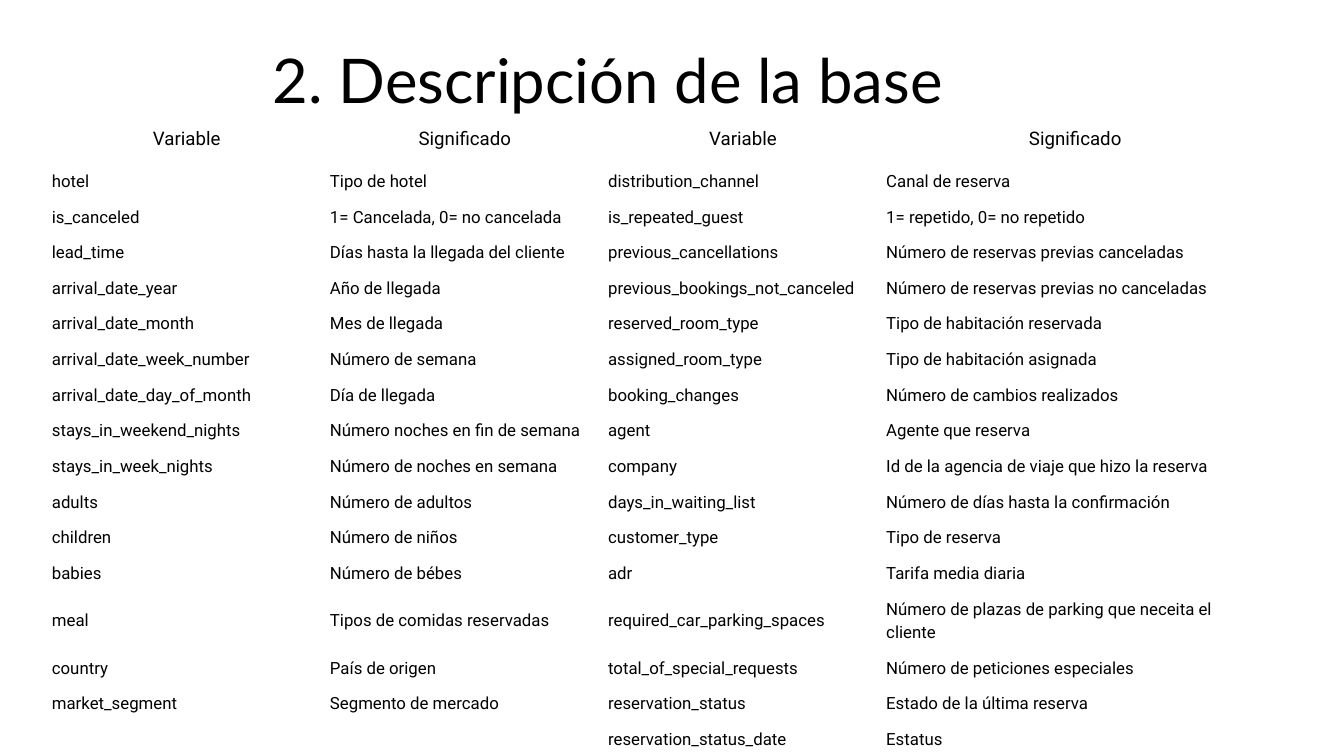
from dataclasses import dataclass

from pptx import Presentation
from pptx.dml.color import RGBColor
from pptx.enum.text import MSO_ANCHOR as Anchor, MSO_AUTO_SIZE as AutoSize, PP_ALIGN as Align
from pptx.util import Pt


@dataclass(frozen=True)
class Theme:
    ink: RGBColor = RGBColor(0, 0, 0)
    title_font: str = "Lato"
    table_font: str = "Roboto"
    title_size: float = 66
    header_size: float = 20
    body_size: float = 18
    table_leading: float = 1.4


THEME = Theme()
NO_STYLE_NO_GRID = "{2D5ABB26-0587-4C30-8999-92F81FD0307C}"

HEADER = ("Variable", "Significado") * 2
VARIABLES = [
    ("hotel", "Tipo de hotel", "distribution_channel", "Canal de reserva"),
    ("is_canceled", "1= Cancelada, 0= no cancelada",
     "is_repeated_guest", "1= repetido, 0= no repetido"),
    ("lead_time", "Días hasta la llegada del cliente",
     "previous_cancellations", "Número de reservas previas canceladas"),
    ("arrival_date_year", "Año de llegada",
     "previous_bookings_not_canceled", "Número de reservas previas no canceladas"),
    ("arrival_date_month", "Mes de llegada",
     "reserved_room_type", "Tipo de habitación reservada"),
    ("arrival_date_week_number", "Número de semana",
     "assigned_room_type", "Tipo de habitación asignada"),
    ("arrival_date_day_of_month", "Día de llegada",
     "booking_changes", "Número de cambios realizados"),
    ("stays_in_weekend_nights", "Número noches en fin de semana",
     "agent", "Agente que reserva"),
    ("stays_in_week_nights", "Número de noches en semana",
     "company", "Id de la agencia de viaje que hizo la reserva"),
    ("adults", "Número de adultos",
     "days_in_waiting_list", "Número de días hasta la confirmación"),
    ("children", "Número de niños", "customer_type", "Tipo de reserva"),
    ("babies", "Número de bébes", "adr", "Tarifa media diaria"),
    ("meal", "Tipos de comidas reservadas",
     "required_car_parking_spaces", "Número de plazas de parking que neceita el cliente"),
    ("country", "País de origen",
     "total_of_special_requests", "Número de peticiones especiales"),
    ("market_segment", "Segmento de mercado",
     "reservation_status", "Estado de la última reserva"),
    ("", "", "reservation_status_date", "Estatus"),
]

COLUMN_WIDTHS = (298, 298, 298, 414)
HEADER_HEIGHT, ROW_HEIGHT, TWO_LINE_HEIGHT = 54, 38.2, 63.4
CELL_MARGIN = 4.5


def style_paragraph(paragraph, font_name, size, leading, align):
    paragraph.alignment = align
    paragraph.line_spacing = Pt(leading)
    paragraph.font.name = font_name
    paragraph.font.size = Pt(size)
    paragraph.font.color.rgb = THEME.ink


def add_title(slide, text):
    box = slide.shapes.add_textbox(Pt(90.7), Pt(-4.3), Pt(1121), Pt(115.2))
    frame = box.text_frame
    frame.word_wrap = True
    frame.auto_size = AutoSize.SHAPE_TO_FIT_TEXT
    frame.margin_left = frame.margin_right = frame.margin_top = frame.margin_bottom = 0
    frame.text = text
    style_paragraph(frame.paragraphs[0], THEME.title_font, THEME.title_size, 128.8, Align.CENTER)


def fill_cell(cell, text, size, align):
    cell.text = text
    cell.fill.background()
    cell.vertical_anchor = Anchor.MIDDLE
    cell.margin_left = cell.margin_right = Pt(CELL_MARGIN)
    cell.margin_top = cell.margin_bottom = Pt(CELL_MARGIN)
    style_paragraph(cell.text_frame.paragraphs[0], THEME.table_font, size,
                    size * THEME.table_leading, align)


def row_height(index, texts):
    if index == 0:
        return HEADER_HEIGHT
    return TWO_LINE_HEIGHT if texts[0] == "meal" else ROW_HEIGHT


def add_variable_table(slide):
    rows = [HEADER, *VARIABLES]
    heights = [row_height(index, texts) for index, texts in enumerate(rows)]
    table = slide.shapes.add_table(len(rows), len(HEADER), Pt(51.1), Pt(119.5),
                                   Pt(sum(COLUMN_WIDTHS)), Pt(sum(heights))).table
    table.first_row = table.horz_banding = False
    table._tbl.tblPr[0].text = NO_STYLE_NO_GRID
    for column, width in zip(table.columns, COLUMN_WIDTHS):
        column.width = Pt(width)
    for index, (row, texts, height) in enumerate(zip(table.rows, rows, heights)):
        row.height = Pt(height)
        size, align = ((THEME.header_size, Align.CENTER) if index == 0
                       else (THEME.body_size, Align.LEFT))
        for cell, text in zip(row.cells, texts):
            fill_cell(cell, text, size, align)


def main():
    presentation = Presentation()
    presentation.slide_width, presentation.slide_height = Pt(1440), Pt(810)
    slide = presentation.slides.add_slide(presentation.slide_layouts[6])
    add_variable_table(slide)
    add_title(slide, "2. Descripción de la base")
    presentation.save("out.pptx")


if __name__ == "__main__":
    main()
